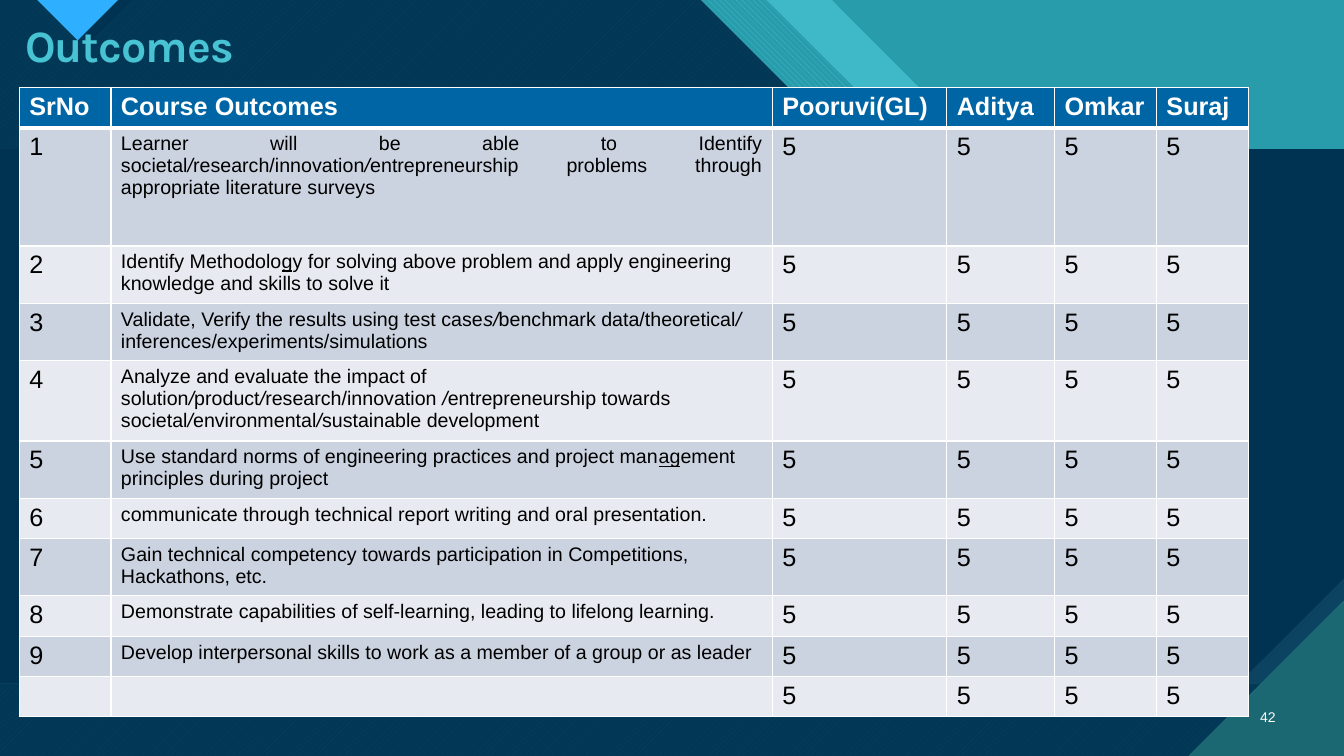
"""Build the course outcomes slide with its layered background and score table."""
from dataclasses import dataclass
from typing import Optional

from lxml import etree
from pptx import Presentation
from pptx.dml.color import RGBColor
from pptx.enum.dml import MSO_PATTERN
from pptx.enum.shapes import MSO_SHAPE
from pptx.enum.text import MSO_ANCHOR, MSO_AUTO_SIZE, PP_ALIGN
from pptx.oxml.ns import qn
from pptx.util import Inches, Pt

DOWN_DIAG = MSO_PATTERN.WIDE_DOWNWARD_DIAGONAL
UP_DIAG = MSO_PATTERN.WIDE_UPWARD_DIAGONAL
DARK_HORZ = MSO_PATTERN.DARK_HORIZONTAL
DARK_VERT = MSO_PATTERN.DARK_VERTICAL
RECT, SNIP = MSO_SHAPE.RECTANGLE, MSO_SHAPE.SNIP_1_RECTANGLE
MIDDLE, TOP, NO_FIT = MSO_ANCHOR.MIDDLE, MSO_ANCHOR.TOP, MSO_AUTO_SIZE.NONE
LEFT, RIGHT, JUSTIFY = PP_ALIGN.LEFT, PP_ALIGN.RIGHT, PP_ALIGN.JUSTIFY

TEAL = RGBColor(0x29, 0x9C, 0xAB)
AQUA = RGBColor(0x47, 0xC3, 0xD3)
PINE = RGBColor(0x1B, 0x68, 0x72)
NAVY = RGBColor(0x00, 0x33, 0x52)
SLATE = RGBColor(0x0C, 0x43, 0x60)
SKY = RGBColor(0x2F, 0xAF, 0xFF)
HEADER_BLUE = RGBColor(0x00, 0x65, 0xA4)
ODD_ROW = RGBColor(0xCC, 0xD3, 0xE0)
EVEN_ROW = RGBColor(0xE7, 0xEA, 0xF0)
WHITE = RGBColor(0xFF, 0xFF, 0xFF)
BLACK = RGBColor(0x00, 0x00, 0x00)

WIDTH, HEIGHT = 13.33, 7.5


@dataclass(frozen=True)
class Paint:
    color: RGBColor
    back: Optional[RGBColor] = None
    pattern: Optional[MSO_PATTERN] = None
    alpha: int = 100


@dataclass(frozen=True)
class Polygon:
    points: tuple
    paint: Paint


@dataclass(frozen=True)
class Band:
    top: float
    height: float
    paint: Paint
    snip: float = 0


@dataclass(frozen=True)
class Outcome:
    text: str
    height: float = 0.39
    mark: str = "italic"
    align: PP_ALIGN = LEFT


FIELD = ((0, 0), (6.95, 0), (9.92, 2.97), (11.18, 2.97), (13.33, 5.13), (13.33, 7.5), (0, 7.5))
BACKGROUND = [
    Band(0, HEIGHT, Paint(TEAL)),
    Polygon(((0, 0), (8.25, 0), (11.22, 2.98), (12.34, 2.98), (13.33, 3.97), (13.33, 7.5), (0, 7.5)),
            Paint(AQUA, alpha=74)),
    Polygon(((0.66, 0), (7.6, 0), (10.58, 2.97), (11.84, 2.97), (13.33, 4.47), (13.33, 7.5), (0.66, 7.5)),
            Paint(AQUA, TEAL, DOWN_DIAG)),
    Polygon(FIELD, Paint(AQUA, PINE, UP_DIAG)),
    Polygon(FIELD, Paint(NAVY, alpha=90)),
    Polygon(((0.48, 0), (1.31, 0), (0.9, 0.41)), Paint(NAVY)),
    Polygon(((0.37, 0), (1.17, 0), (0.77, 0.4)), Paint(SKY, PINE, DARK_HORZ)),
    Band(1.48, 5.3, Paint(SLATE, PINE, DARK_VERT)),
    Band(1.48, 5.3, Paint(NAVY), snip=0.197),
    Polygon(((11.79, 7.5), (13.33, 7.5), (13.33, 5.96)), Paint(PINE, AQUA, DARK_HORZ)),
]

HEADERS = ["SrNo", "Course Outcomes", "Pooruvi(GL)", "Aditya", "Omkar", "Suraj"]
COL_WIDTHS = [0.91, 6.56, 1.73, 1.07, 1.01, 0.91]
SCORE = "5"
OUTCOMES = [
    Outcome("Learner will be able to Identify societal|/|research/innovation|/|entrepreneurship "
            "problems through appropriate literature surveys", 1.17, align=JUSTIFY),
    Outcome("Identify Methodolo|g|y for solving above problem and apply engineering knowledge "
            "and skills to solve it", 0.55, "underline"),
    Outcome("Validate, Verify the results using test case|s/|benchmark data/theoretical|/ |"
            "inferences/experiments/simulations", 0.55),
    Outcome("Analyze and evaluate the impact of solution|/|product|/|research/innovation |/|"
            "entrepreneurship towards societal|/|environmental|/|sustainable development", 0.78),
    Outcome("Use standard norms of engineering practices and project man|ag|ement principles "
            "during project", mark="underline"),
    Outcome("communicate through technical report writing and oral presentation."),
    Outcome("Gain technical competency towards participation in Competitions, Hackathons, etc."),
    Outcome("Demonstrate capabilities of self-learning, leading to lifelong learning."),
    Outcome("Develop interpersonal skills to work as a member of a group or as leader"),
    Outcome(""),
]


def write(tf, text: str, *, size: float = 18, color: RGBColor = BLACK, bold: bool = False,
          font: str = "Arial", align: PP_ALIGN = LEFT, mark: str = "italic"):
    """Write one paragraph, giving the mark to every second part between bars."""
    p = tf.paragraphs[0]
    p.alignment = align
    for i, part in enumerate(text.split("|") if text else []):
        r = p.add_run()
        r.text = part
        r.font.name, r.font.size, r.font.bold = font, Pt(size), bold
        r.font.color.rgb = color
        if i % 2:
            setattr(r.font, mark, True)
    return p


def apply_paint(shape, paint: Paint) -> None:
    """Fill a shape and remove its line and shadow."""
    shape.shadow.inherit = False
    shape.line.fill.background()
    if paint.pattern is not None:
        shape.fill.patterned()
        shape.fill.pattern = paint.pattern
        shape.fill.fore_color.rgb = paint.color
        shape.fill.back_color.rgb = paint.back
        return
    shape.fill.solid()
    shape.fill.fore_color.rgb = paint.color
    if paint.alpha < 100:
        clr = shape.fill._xPr.find(".//" + qn("a:srgbClr"))
        etree.SubElement(clr, qn("a:alpha"), val=str(paint.alpha * 1000))


def draw_polygon(s, polygon: Polygon) -> None:
    """Draw a closed outline."""
    points = [(Inches(x), Inches(y)) for x, y in polygon.points]
    builder = s.shapes.build_freeform(*points[0], scale=1.0)
    builder.add_line_segments(points[1:], close=True)
    apply_paint(builder.convert_to_shape(), polygon.paint)


def draw_band(s, band: Band) -> None:
    """Draw a full-width band, with its lower right corner cut if asked."""
    sp = s.shapes.add_shape(SNIP if band.snip else RECT, 0, Inches(band.top),
                            Inches(WIDTH), Inches(band.height))
    if band.snip:
        sp.adjustments[0] = band.snip
        sp._element.spPr.xfrm.set("flipV", "1")
    apply_paint(sp, band.paint)


def set_borders(cell, top: float, bottom: float) -> None:
    """Give a cell white borders."""
    tc_pr = cell._tc.get_or_add_tcPr()
    for side, width in zip("LRTB", (1, 1, top, bottom)):
        ln = etree.SubElement(tc_pr, qn(f"a:ln{side}"), w=str(Pt(width)))
        fill = etree.SubElement(ln, qn("a:solidFill"))
        etree.SubElement(fill, qn("a:srgbClr"), val=str(WHITE))


def draw_table(s) -> None:
    """Draw the outcomes and the score of each student."""
    heights = [0.39] + [outcome.height for outcome in OUTCOMES]
    table = s.shapes.add_table(len(heights), len(HEADERS), Inches(0.19), Inches(0.87),
                               Inches(sum(COL_WIDTHS)), Inches(sum(heights))).table
    for column, width in zip(table.columns, COL_WIDTHS):
        column.width = Inches(width)
    for i, height in enumerate(heights):
        table.rows[i].height = Inches(height)
        for j, header in enumerate(HEADERS):
            cell = table.cell(i, j)
            set_borders(cell, 3 if i == 1 else 1, 3 if i == 0 else 1)
            cell.fill.solid()
            cell.fill.fore_color.rgb = HEADER_BLUE if i == 0 else ODD_ROW if i % 2 else EVEN_ROW
            if i == 0:
                write(cell.text_frame, header, color=WHITE, bold=True)
                continue
            outcome = OUTCOMES[i - 1]
            if j == 1:
                write(cell.text_frame, outcome.text, size=14, align=outcome.align, mark=outcome.mark)
            elif j > 1 or outcome.text:
                write(cell.text_frame, SCORE if j else str(i))


def main() -> None:
    """Assemble and save the slide."""
    prs = Presentation()
    prs.slide_width, prs.slide_height = Inches(WIDTH), Inches(HEIGHT)
    s = prs.slides.add_slide(prs.slide_layouts[5])
    s.background.fill.solid()
    s.background.fill.fore_color.rgb = AQUA
    for item in BACKGROUND:
        if isinstance(item, Band):
            draw_band(s, item)
        else:
            draw_polygon(s, item)

    title = s.shapes.title
    s.shapes._spTree.append(title._element)
    title.left, title.top, title.width, title.height = map(Inches, (0.15, 0.19, 12.26, 0.59))
    title.text_frame.auto_size, title.text_frame.vertical_anchor = NO_FIT, TOP
    p = write(title.text_frame, "Outcomes", size=32, color=AQUA, bold=True, font="Karla")
    p.line_spacing = 0.9
    p.runs[0].font._element.set("spc", "-70")

    number = s.shapes.add_textbox(*map(Inches, (12.31, 6.91, 0.44, 0.4)))
    number.text_frame.word_wrap = True
    number.text_frame.vertical_anchor = MIDDLE
    write(number.text_frame, "42", size=10, color=WHITE, align=RIGHT)
    draw_table(s)
    prs.save("out.pptx")


if __name__ == "__main__":
    main()
